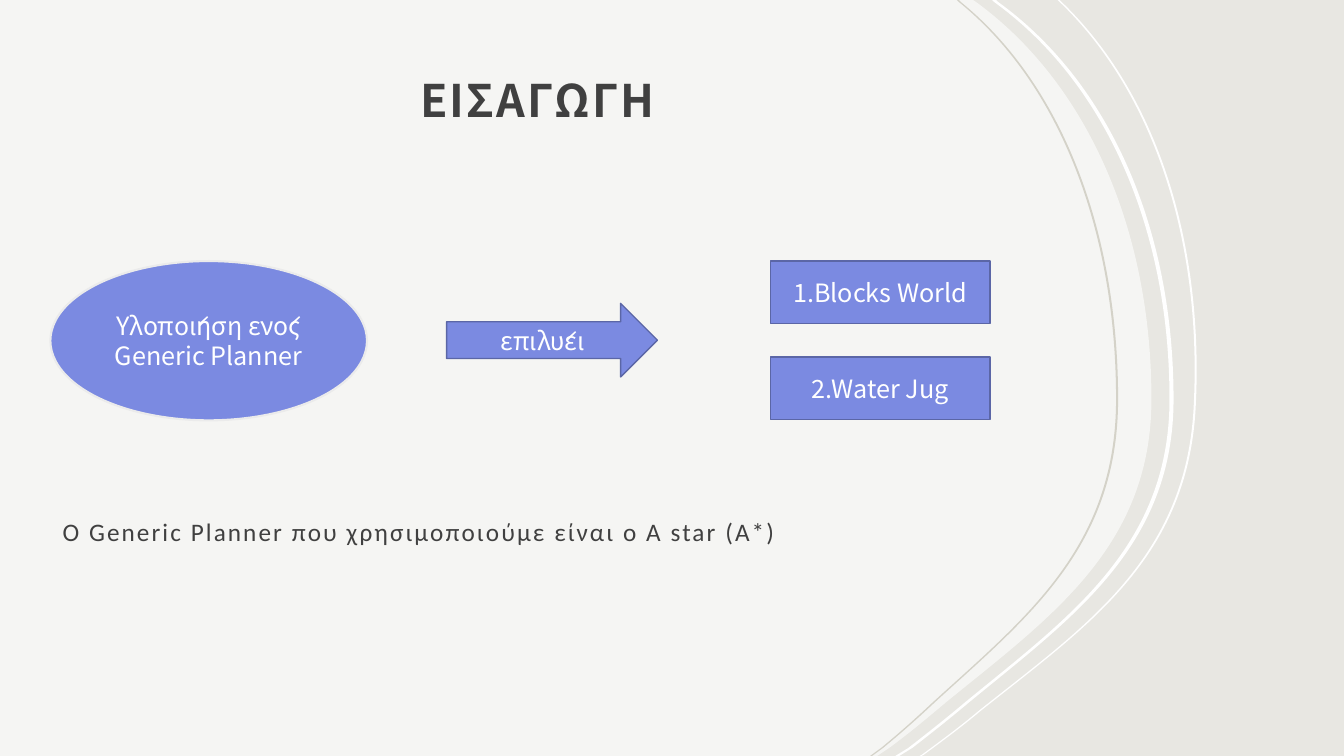
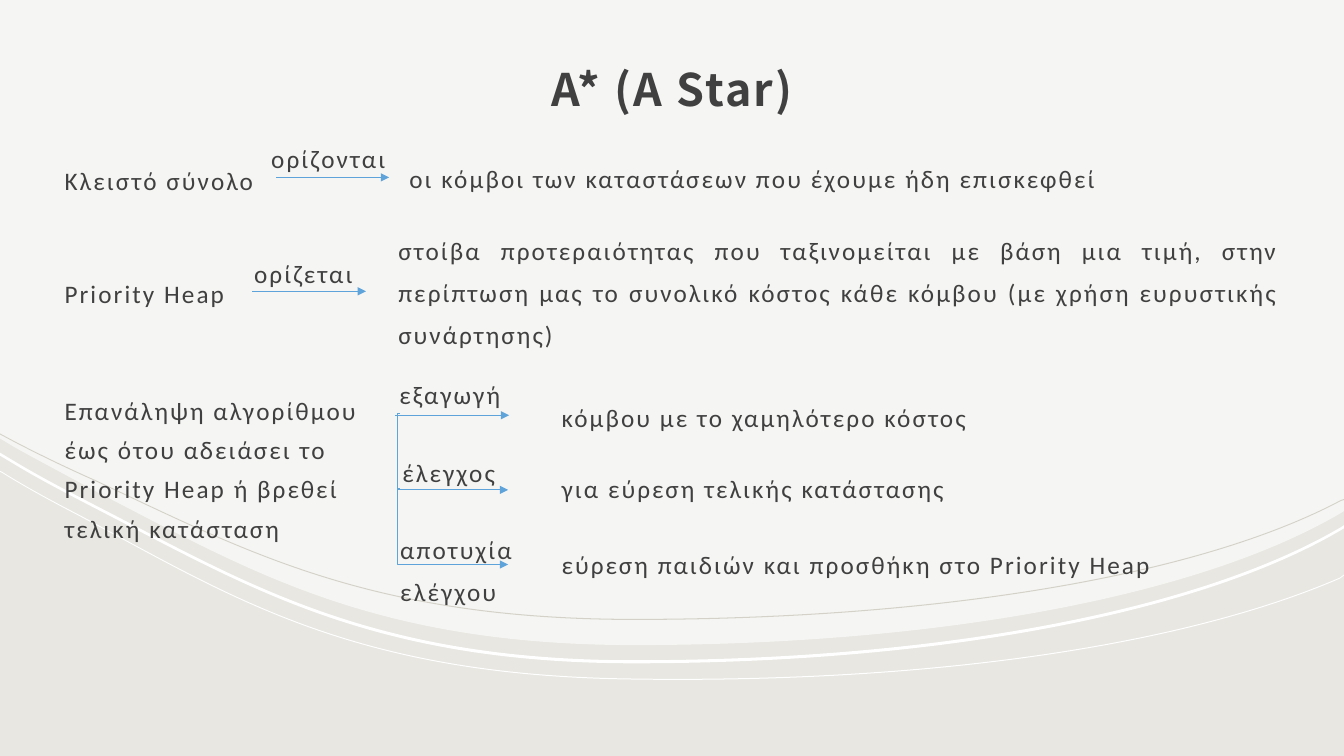
from lxml import etree
from pptx import Presentation
from pptx.dml.color import RGBColor
from pptx.enum.shapes import MSO_CONNECTOR, MSO_SHAPE
from pptx.enum.text import MSO_ANCHOR, PP_ALIGN
from pptx.oxml.ns import qn
from pptx.util import Pt

PX = 9144
WIDTH, HEIGHT = 1333, 750
LEFT, CENTER, JUSTIFY = PP_ALIGN.LEFT, PP_ALIGN.CENTER, PP_ALIGN.JUSTIFY
TOP, MIDDLE, BOTTOM = MSO_ANCHOR.TOP, MSO_ANCHOR.MIDDLE, MSO_ANCHOR.BOTTOM
STRAIGHT, ELBOW = MSO_CONNECTOR.STRAIGHT, MSO_CONNECTOR.ELBOW
OVAL, RECTANGLE, ARROW = MSO_SHAPE.OVAL, MSO_SHAPE.RECTANGLE, MSO_SHAPE.RIGHT_ARROW
HEADING_FONT, BODY_FONT = "Noto Sans CJK JP", "Calibri"
COLORS = {
    "background": "E8E7E2",
    "white": "FFFFFF",
    "grey": "D4D2C8",
    "text": "404040",
    "box": "7B8AE1",
    "box_line": "5B66A6",
    "planner_line": "EBEBEB",
    "arrow": "5EA4DB",
}
RGB = {name: RGBColor.from_string(value) for name, value in COLORS.items()}


def write(frame, text, font_name, size, color, align, anchor):
    frame.word_wrap = True
    frame.vertical_anchor = anchor
    paragraph = frame.paragraphs[0]
    paragraph.alignment = align
    run = paragraph.add_run()
    run.text = text
    run.font.name = font_name
    run.font.size = Pt(size)
    run.font.color.rgb = RGB[color]
    return paragraph, run


def add_text(slide, box, text, align=LEFT, spacing=1.4, title=False):
    frame = slide.shapes.add_textbox(*[v * PX for v in box]).text_frame
    frame.margin_left = frame.margin_right = frame.margin_top = 12 * PX
    frame.margin_bottom = 10 * PX
    font_name, size, anchor = (HEADING_FONT, 32, BOTTOM) if title else (BODY_FONT, 18, TOP)
    paragraph, run = write(frame, text, font_name, size, "text", align, anchor)
    paragraph.line_spacing = spacing
    paragraph.space_before = Pt(0 if title else 9.3)
    run.font.bold = title
    run.font._element.set("spc", "150")


prs = Presentation()
prs.slide_width, prs.slide_height = WIDTH * PX, HEIGHT * PX

side_waves = [
    ("white", None, [(965, 0), (968, 2), (1079, 83), (1142, 229), (1142, 396), (1142, 543),
                     (1041, 613), (938, 697), (919, 713), (901, 728), (882, 742), (870, 750)]),
    ("white", (2, 0), [(1049, 0), (1052, 3), (1145, 93), (1192, 240), (1184, 402), (1177, 555),
                       (1075, 622), (971, 705), (952, 721), (933, 735), (914, 749), (912, 750)]),
    ("white", (4, 0), [(984, 0), (986, 2), (1098, 83), (1160, 229), (1160, 396), (1160, 543),
                       (1059, 613), (957, 697), (938, 713), (919, 728), (901, 742), (888, 750)]),
    ("grey", (2, 0), [(949, 0), (951, 2), (1051, 83), (1107, 229), (1107, 396), (1107, 543),
                      (1017, 613), (925, 697), (908, 713), (891, 728), (874, 742), (863, 750)]),
]
bottom_waves = [
    ("white", None, [(1333, 507), (1330, 509), (1187, 593), (926, 640), (629, 640), (367, 640),
                     (244, 564), (94, 487), (67, 472), (40, 458), (15, 444), (0, 435)]),
    ("white", (0, 1), [(1333, 570), (1329, 573), (1167, 643), (907, 678), (618, 673), (346, 668),
                       (227, 590), (79, 511), (52, 497), (26, 483), (2, 468), (0, 467)]),
    ("white", (0, 3), [(1333, 521), (1330, 523), (1187, 607), (926, 655), (629, 655), (367, 655),
                       (244, 578), (94, 501), (67, 487), (40, 473), (15, 458), (0, 449)]),
    ("grey", (0, 1), [(1333, 495), (1330, 496), (1187, 572), (926, 614), (629, 614), (367, 614),
                      (244, 546), (94, 476), (67, 464), (40, 451), (15, 438), (0, 430)]),
]
pages = [
    ("ΕΙΣΑΓΩΓΗ", (158, 20, 750, 116), side_waves, [(0, HEIGHT), (0, 0)]),
    ("A* (A Star)", (493, 27, 347, 98), bottom_waves, [(0, 0), (WIDTH, 0)]),
]

slides = []
for title, title_box, waves, corners in pages:
    slide = prs.slides.add_slide(prs.slide_layouts[6])
    slide.background.fill.solid()
    slide.background.fill.fore_color.rgb = RGB["background"]
    for color, thickness, knots in waves:
        curve_starts = [1, 4, 7]
        if thickness:
            dx, dy = thickness
            outline = knots + [(x + dx, y + dy) for x, y in reversed(knots)]
            curve_starts += [13, 16, 19]
        else:
            outline = knots + corners
        points = [(x * PX, y * PX) for x, y in outline]
        builder = slide.shapes.build_freeform(*points[0], scale=1.0)
        builder.add_line_segments(points[1:], close=True)
        wave = builder.convert_to_shape()
        wave.shadow.inherit = False
        wave.fill.solid()
        wave.fill.fore_color.rgb = RGB[color]
        wave.line.fill.background()
        segments = list(wave._element.iter(qn("a:lnTo")))
        for start in curve_starts:
            curve = etree.Element(qn("a:cubicBezTo"))
            segments[start].addprevious(curve)
            for segment in segments[start:start + 3]:
                curve.append(segment[0])
                segment.getparent().remove(segment)
        if not thickness:
            tint = wave._element.spPr.find(qn("a:solidFill"))[0]
            etree.SubElement(tint, qn("a:alpha")).set("val", "60000")
    add_text(slide, title_box, title, CENTER, 1.3, title=True)
    slides.append(slide)

intro, a_star = slides

for kind, box, text, line_color, line_width in [
    (ARROW, (443, 301, 209, 73), "επιλύει", "box_line", 1),
    (RECTANGLE, (764, 259, 218, 62), "1.Blocks World", "box_line", 1),
    (RECTANGLE, (764, 354, 218, 62), "2.Water Jug", "box_line", 1),
    (OVAL, (50, 259, 314, 158), "Υλοποίηση ενός Generic Planner", "planner_line", 1.5),
]:
    node = intro.shapes.add_shape(kind, *[v * PX for v in box])
    node.shadow.inherit = False
    node.fill.solid()
    node.fill.fore_color.rgb = RGB["box"]
    node.line.color.rgb = RGB[line_color]
    node.line.width = Pt(line_width)
    write(node.text_frame, text, HEADING_FONT, 18, "white", CENTER, MIDDLE)
add_text(intro, (50, 488, 799, 234),
         "Ο Generic Planner που χρησιμοποιούμε είναι ο A star (A*)", JUSTIFY)

for kind, ends, line_width in [
    (STRAIGHT, (274, 176, 386, 176), 1),
    (STRAIGHT, (250, 289, 363, 289), 1),
    (STRAIGHT, (392, 412, 505, 412), 1),
    (ELBOW, (397, 410, 504, 486), 0.75),
    (ELBOW, (397, 485, 504, 560), 0.75),
]:
    arrow = a_star.shapes.add_connector(kind, *[v * PX for v in ends])
    arrow.line.color.rgb = RGB["arrow"]
    arrow.line.width = Pt(line_width)
    properties = arrow._element.spPr
    etree.SubElement(properties.find(qn("a:ln")), qn("a:tailEnd")).set("type", "triangle")
    etree.SubElement(properties, qn("a:effectLst"))
    if kind == ELBOW:
        bend = etree.SubElement(properties.prstGeom.get_or_add_avLst(), qn("a:gd"))
        bend.set("name", "adj1")
        bend.set("fmla", "val -2800")

for box, text, align, spacing in [
    ((52, 140, 254, 79), "Κλειστό σύνολο", LEFT, 1.4),
    ((257, 118, 145, 79), "ορίζονται", LEFT, 1.4),
    ((394, 138, 898, 99), "οι κόμβοι των καταστάσεων που έχουμε ήδη επισκεφθεί", LEFT, 1.4),
    ((52, 252, 254, 79), "Priority Heap", LEFT, 1.4),
    ((240, 232, 145, 79), "ορίζεται", LEFT, 1.4),
    ((383, 209, 898, 149),
     "στοίβα προτεραιότητας που ταξινομείται με βάση μια τιμή, στην περίπτωση μας "
     "το συνολικό κόστος κάθε κόμβου (με χρήση ευρυστικής συνάρτησης)", JUSTIFY, 1.4),
    ((52, 371, 346, 179),
     "Επανάληψη αλγορίθμου έως ότου αδειάσει το Priority Heap ή βρεθεί τελική κατάσταση",
     LEFT, 1.3),
    ((384, 352, 145, 79), "εξαγωγή", LEFT, 1.4),
    ((545, 375, 898, 99), "κόμβου με το χαμηλότερο κόστος", LEFT, 1.4),
    ((387, 430, 145, 79), "έλεγχος", LEFT, 1.4),
    ((545, 446, 898, 99), "για εύρεση τελικής κατάστασης", LEFT, 1.4),
    ((385, 506, 140, 118), "αποτυχία ελέγχου", LEFT, 1.4),
    ((545, 521, 898, 99), "εύρεση παιδιών και προσθήκη στο Priority Heap", LEFT, 1.4),
]:
    add_text(a_star, box, text, align, spacing)

prs.save("out.pptx")
